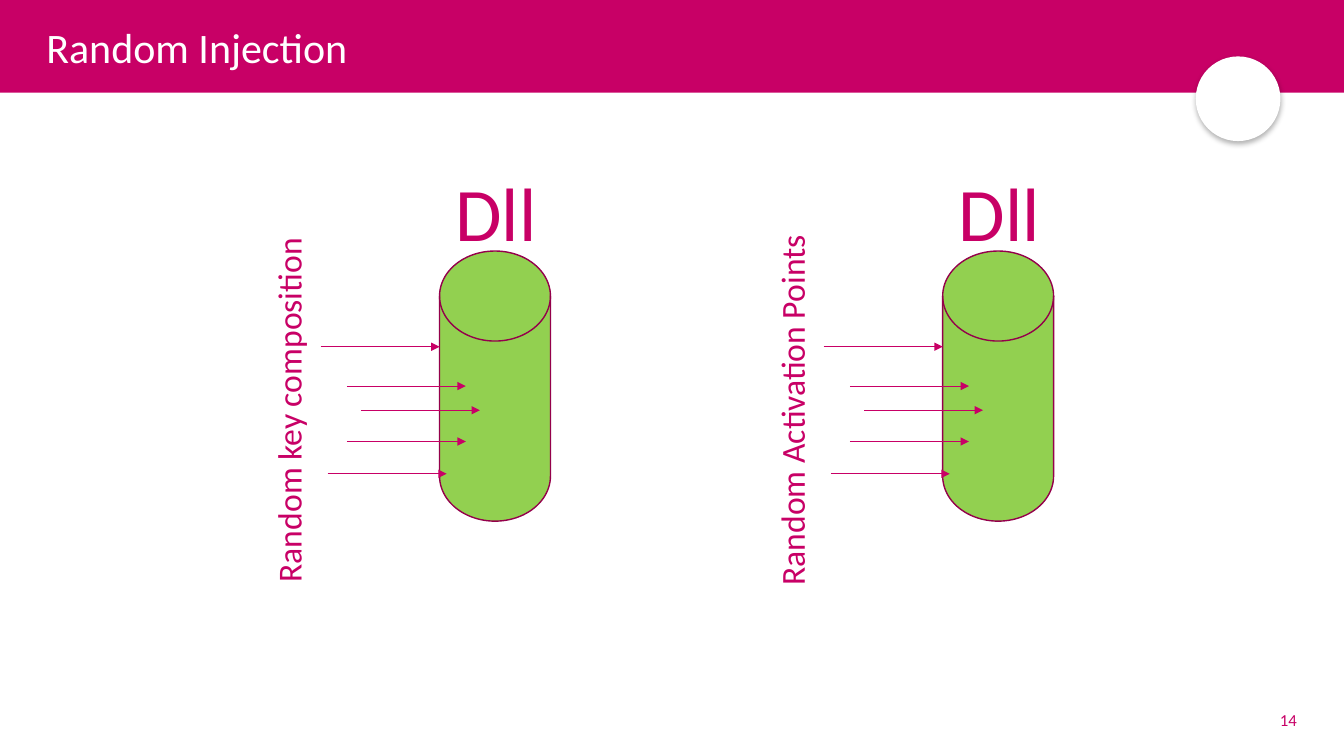
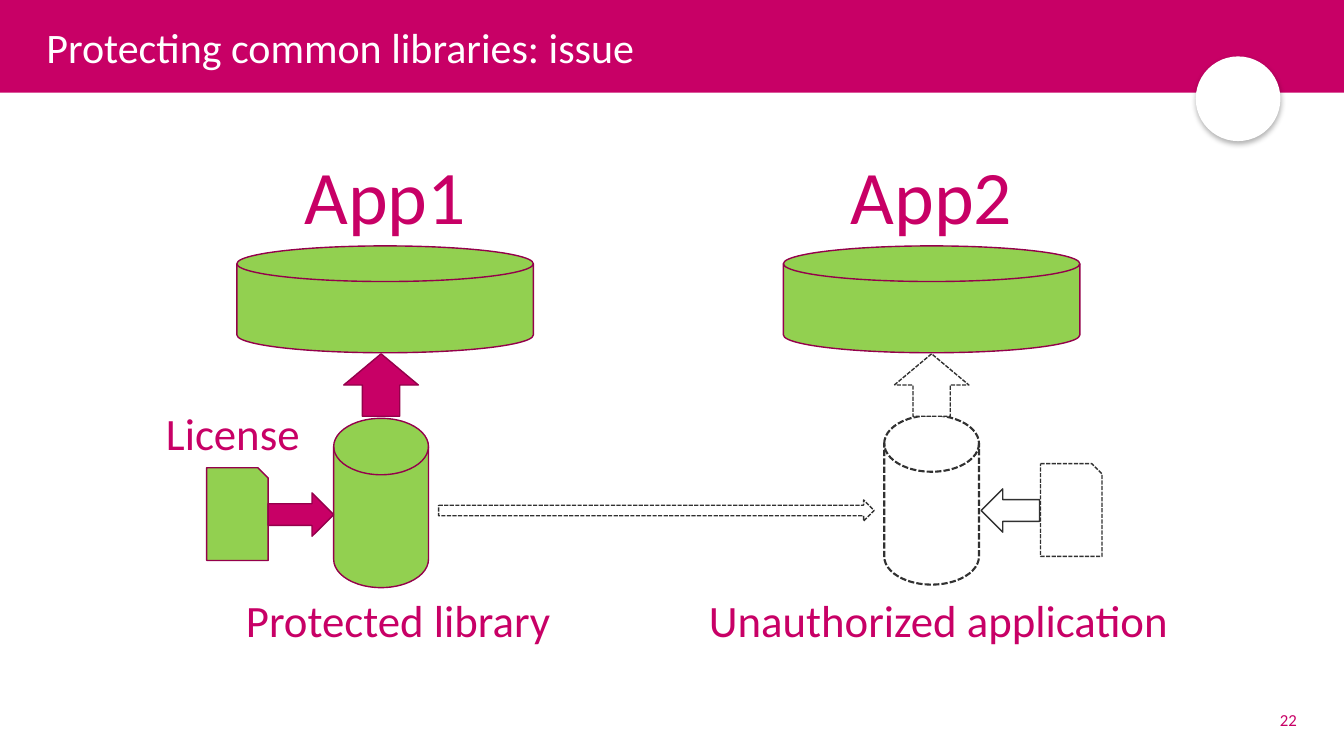
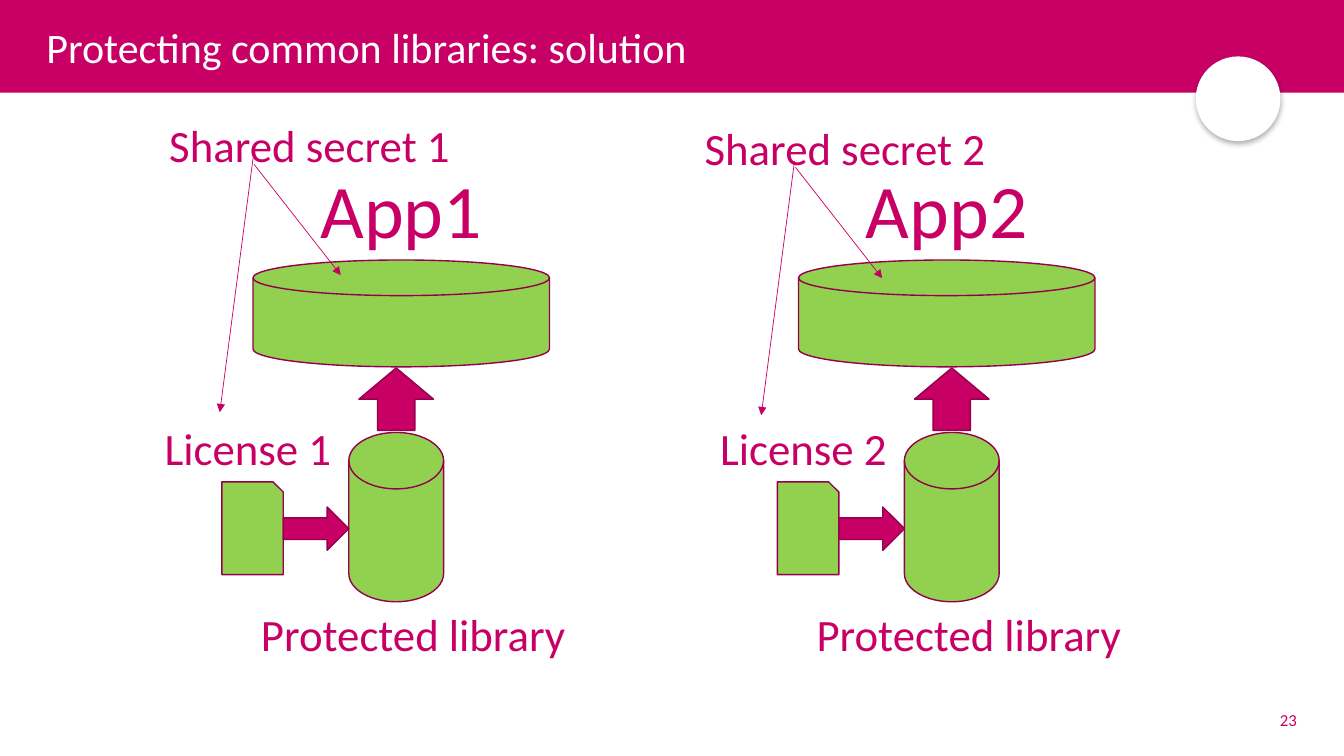
from lxml import etree
from pptx import Presentation
from pptx.dml.color import RGBColor
from pptx.enum import dml, shapes, text
from pptx.oxml import ns, parse_xml
from pptx.util import Inches, Pt

COLORS = {"brand": "C80066", "edge": "94004B", "green": "92D050",
          "ghost": "313131", "white": "FFFFFF"}
FONT = "Calibri"
KIND = shapes.MSO_SHAPE

prs = Presentation()
prs.slide_width, prs.slide_height = Inches(13.33), Inches(7.5)


def rgb(name):
    """Return a named colour."""
    return RGBColor.from_string(COLORS[name])


def place(sp, x, y, w, h):
    """Move a shape to a box given in inches."""
    sp.left, sp.top, sp.width, sp.height = map(Inches, (x, y, w, h))


def style(p, size, color, align):
    """Format a paragraph."""
    p.alignment = align
    p.font.name, p.font.size = FONT, Pt(size)
    p.font.color.rgb = rgb(color)


def label(s, words, cx, y, w, h, size, turn=0):
    """Add one line of text centred on cx."""
    sp = s.shapes.add_textbox(*map(Inches, (cx - w / 2, y, w, h)))
    sp.rotation = turn
    tf = sp.text_frame
    tf.word_wrap = False
    tf.auto_size = text.MSO_AUTO_SIZE.SHAPE_TO_FIT_TEXT
    tf.text = words
    style(tf.paragraphs[0], size, "brand", text.PP_ALIGN.CENTER)


def caption(s, words, cx, y, w):
    """Add a part's name in the medium size."""
    label(s, words, cx, y, w, 0.64, 32)


def solid(s, kind, x, y, w, h, fill="green", line="edge", width=1, dashed=False):
    """Add a filled preset shape; line=None leaves out the outline."""
    sp = s.shapes.add_shape(kind, *map(Inches, (x, y, w, h)))
    sp.shadow.inherit = False
    sp.fill.solid()
    sp.fill.fore_color.rgb = rgb(fill)
    if line:
        sp.line.color.rgb = rgb(line)
        sp.line.width = Pt(width)
        if dashed:
            sp.line.dash_style = dml.MSO_LINE.SQUARE_DOT
    else:
        sp.line.fill.background()
    return sp


def ghost(s, kind, x, y, w, h, width=1, dashed=True):
    """Add a white shape with a dark outline, for a missing part."""
    solid(s, kind, x, y, w, h, "white", "ghost", width, dashed)


def arrow(s, x1, y1, x2, y2):
    """Add a thin line with an arrowhead at its end."""
    c = s.shapes.add_connector(shapes.MSO_CONNECTOR.STRAIGHT,
                               *map(Inches, (x1, y1, x2, y2)))
    c.line.color.rgb = rgb("brand")
    c.line.width = Pt(0.5)
    ln = c.line._get_or_add_ln()
    etree.SubElement(ln, ns.qn("a:tailEnd"), type="triangle")
    etree.SubElement(c.element.spPr, ns.qn("a:effectLst"))


def base_slide(title, number):
    """Add a slide with band, disc, page number and title."""
    s = prs.slides.add_slide(prs.slide_layouts[5])
    solid(s, KIND.RECTANGLE, 0, 0, 13.33, 0.92, "brand", None)
    disc = solid(s, KIND.OVAL, 11.86, 0.56, 0.84, 0.84, "white", None)
    effects = disc.element.spPr.find(ns.qn("a:effectLst"))
    effects.append(parse_xml(
        f'<a:outerShdw {ns.nsdecls("a")} blurRad="{Pt(4)}" dist="{Pt(2)}" '
        'dir="5400000" algn="t" rotWithShape="0"><a:srgbClr val="000000">'
        '<a:alpha val="30000"/></a:srgbClr></a:outerShdw>'))

    page = s.shapes.add_textbox(*map(Inches, (12.35, 6.94, 0.61, 0.4)))
    page.text_frame.word_wrap = True
    page.text_frame.text = str(number)
    page.text_frame.vertical_anchor = text.MSO_ANCHOR.MIDDLE
    style(page.text_frame.paragraphs[0], 12, "brand", text.PP_ALIGN.RIGHT)

    sp = s.shapes.title
    sp.element.getparent().append(sp.element)
    place(sp, 0.36, 0.15, 12.06, 0.69)
    tf = sp.text_frame
    tf.text = title
    tf.vertical_anchor = text.MSO_ANCHOR.MIDDLE
    tf.auto_size = text.MSO_AUTO_SIZE.NONE
    p = tf.paragraphs[0]
    style(p, 30, "white", text.PP_ALIGN.LEFT)
    p.line_spacing = 0.9
    return s


def injected_dll(s, x, y, words):
    """Draw a Dll cylinder at x, y with arrows coming in from the left."""
    solid(s, KIND.FLOWCHART_MAGNETIC_DISK, x, y, 1.1, 2.68)
    label(s, "Dll", x + 0.56, y - 0.89, 1.02, 1.01, 54)
    for tip, dy in ((0, 0.95), (0.26, 1.34), (0.4, 1.58), (0.26, 1.89), (0.07, 2.21)):
        arrow(s, x + tip - 1.18, y + dy, x + tip, y + dy)
    label(s, words, x - 1.5, y + 1.33, 3.7, 0.5, 24, 270)


def app(s, x, y, name):
    """Draw a flat application disk with its name above."""
    solid(s, KIND.FLOWCHART_MAGNETIC_DISK, x, y, 2.94, 1.06)
    label(s, name, x + 1.47, y - 1.01, 1.82, 1.01, 54)


def library(s, x, y, license_name, license_w):
    """Draw a protected library cylinder, its license and the arrow upwards."""
    solid(s, KIND.FLOWCHART_MAGNETIC_DISK, x, y, 0.94, 1.68)
    solid(s, KIND.UP_ARROW, x + 0.1, y - 0.64, 0.74, 0.62, "brand")
    solid(s, KIND.SNIP_1_RECTANGLE, x - 1.26, y + 0.49, 0.61, 0.92)
    solid(s, KIND.RIGHT_ARROW, x - 0.65, y + 0.74, 0.65, 0.43, "brand")
    caption(s, license_name, x - 1, y - 0.17, license_w)
    caption(s, "Protected library", x + 0.64, y + 1.68, 3.25)


def ghost_library(s, x, y):
    """Draw the unlicensed library with its license on the right."""
    ghost(s, KIND.FLOWCHART_MAGNETIC_DISK, x, y, 0.94, 1.68, 1.5)
    ghost(s, KIND.UP_ARROW, x + 0.1, y - 0.61, 0.74, 0.62)
    ghost(s, KIND.RIGHT_ARROW, x - 4.42, y + 0.84, 4.32, 0.21)
    ghost(s, KIND.SNIP_1_RECTANGLE, x + 1.55, y + 0.48, 0.61, 0.92)
    ghost(s, KIND.LEFT_ARROW, x + 0.96, y + 0.73, 0.58, 0.43, dashed=False)
    caption(s, "Unauthorized application", x + 0.54, y + 1.71, 4.81)


def secret(s, words, cx, y, fork_x):
    """Draw a shared secret with arrows to its license and application."""
    caption(s, words, cx, y, 3.01)
    fork_y = y + 0.45
    arrow(s, fork_x, fork_y, fork_x - 0.33, fork_y + 2.52)
    arrow(s, fork_x + 0.01, fork_y + 0.06, fork_x + 0.87, fork_y + 1.16)


def injection_slide():
    """Build the slide on random injection."""
    s = base_slide("Random Injection", 14)
    injected_dll(s, 9.35, 2.49, "Random Activation Points")
    injected_dll(s, 4.36, 2.49, "Random key composition")


def issue_slide():
    """Build the slide on the issue with common libraries."""
    s = base_slide("Protecting common libraries: issue", 22)
    app(s, 2.35, 2.44, "App1")
    app(s, 7.77, 2.44, "App2")
    library(s, 3.31, 4.15, "License", 1.54)
    ghost_library(s, 8.77, 4.12)


def solution_slide():
    """Build the slide on the solution for common libraries."""
    s = base_slide("Protecting common libraries: solution", 23)
    app(s, 2.51, 2.58, "App1")
    app(s, 7.92, 2.58, "App2")
    library(s, 3.46, 4.29, "License 1", 1.87)
    library(s, 8.97, 4.29, "License 2", 1.87)
    secret(s, "Shared secret 1", 3.07, 1.12, 2.51)
    secret(s, "Shared secret 2", 8.38, 1.15, 7.88)


injection_slide()
issue_slide()
solution_slide()
prs.save("out.pptx")
